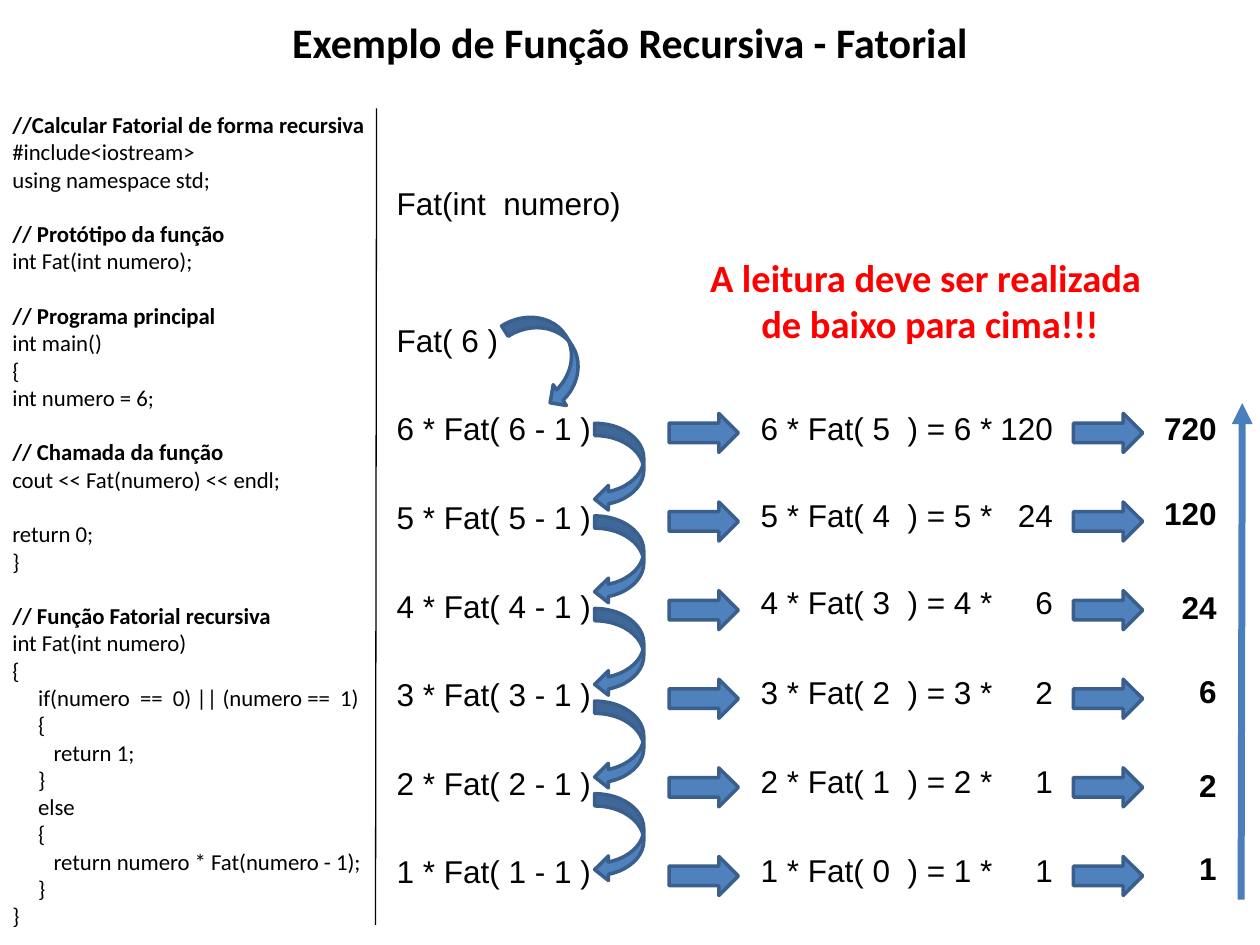
import dataclasses
import lxml.etree
import pptx
import pptx.dml.color
import pptx.enum.shapes
import pptx.enum.text
import pptx.oxml.ns
import pptx.util

Pt = pptx.util.Pt
qn = pptx.oxml.ns.qn
RGB = pptx.dml.color.RGBColor.from_string
Shape = pptx.enum.shapes.MSO_SHAPE
Align = pptx.enum.text.PP_ALIGN


@dataclasses.dataclass(frozen=True)
class Theme:
    """Colours, fonts and type sizes of the slide."""
    ink: str = "000000"
    alert: str = "FF0000"
    fill: str = "4F81BD"
    edge: str = "3A5F8C"
    climb: str = "4B7EBC"
    head: str = "Calibri"
    body: str = "Arial"
    title: float = 24
    note: float = 22
    call: float = 18
    code: float = 13


THEME = Theme()

CODE = """//Calcular Fatorial de forma recursiva
#include<iostream>
using namespace std;

// Protótipo da função
int Fat(int numero);

// Programa principal
int main()
{
int numero = 6;

// Chamada da função
cout << Fat(numero) << endl;

return 0;
}

// Função Fatorial recursiva
int Fat(int numero)
{
     if(numero  ==  0) || (numero ==  1)
     {
        return 1;
     }
     else
     {
        return numero * Fat(numero - 1);
     }
}"""

# number, value of the inner call, result, lift of product, lift of result
STEPS = [(6, 120, 720, 0, 0), (5, 24, 120, 1, 2.4), (4, 6, 24, 2, -1),
         (3, 2, 6, 1, 2.1), (2, 1, 2, 1, -1.2), (1, 1, 1, 1, 1.9)]


def write(slide, box, text, size=THEME.call, font=THEME.body, color=THEME.ink,
          bold=False, align=Align.LEFT, before=0, pitch=None, tab=None):
    """Add a text box; a blank line becomes space, leading blanks an indent."""
    frame = slide.shapes.add_textbox(*map(Pt, box)).text_frame
    frame.word_wrap = True
    para, gap = frame.paragraphs[0], before
    for line in text.split("\n"):
        if not line:
            gap = pitch
            continue
        if para.runs:
            para = frame.add_paragraph()
        para.alignment = align
        para.space_before = Pt(gap)
        if pitch:
            para.line_spacing = Pt(pitch)
        gap = before
        props = para._p.get_or_add_pPr()
        label = line.lstrip()
        props.set("marL", str(Pt(2.94 * (len(line) - len(label)))))
        if tab:
            stops = lxml.etree.SubElement(props, qn("a:tabLst"))
            lxml.etree.SubElement(stops, qn("a:tab"), pos=str(Pt(tab)), algn="r")
        run = para.add_run()
        run.text = label
        run.font.size, run.font.name = Pt(size), font
        run.font.bold = bold or label.startswith("//")
        run.font.color.rgb = RGB(color)


def arrow(slide, kind, box, turn=0, adjust=()):
    """Add a filled block arrow."""
    shape = slide.shapes.add_shape(kind, *map(Pt, box))
    shape.shadow.inherit = False
    shape.fill.solid()
    shape.fill.fore_color.rgb = RGB(THEME.fill)
    shape.line.color.rgb = RGB(THEME.edge)
    shape.line.width = Pt(2)
    shape.rotation = turn
    for index, value in enumerate(adjust):
        shape.adjustments[index] = value


def rule(slide, start, end, color, width, tip=False):
    """Add a straight line, with an arrowhead at its end if asked."""
    line = slide.shapes.add_connector(
        pptx.enum.shapes.MSO_CONNECTOR.STRAIGHT, *map(Pt, start + end))
    line.line.color.rgb = RGB(color)
    line.line.width = Pt(width)
    if tip:
        lxml.etree.SubElement(line.line._get_or_add_ln(), qn("a:tailEnd"),
                              type="triangle")
    lxml.etree.SubElement(line._element.spPr, qn("a:effectLst"))


def listing(slide, left, top, width, height):
    """Place the program and the rule to its right."""
    write(slide, (left, top, width, height), CODE, size=THEME.code,
          font=THEME.head, pitch=15.6)
    rule(slide, (left + 215.2, top + 2.2), (left + 214.6, top + 468.7),
         THEME.ink, 0.75)


def calls(slide, left, top):
    """Place the first calls and the curved arrow to the steps."""
    write(slide, (left, top, 242, 33.8), "Fat(int  numero)", before=3.6)
    write(slide, (left, top + 78.5, 170, 33.8), "Fat( 6 )", before=3.6)
    arrow(slide, Shape.CURVED_LEFT_ARROW,
          (left + 80.6, top + 72.7, 28.1, 59), turn=327.7)


def steps(slide, left, top, pitch=50.64):
    """Place one row per step, the curved links and the reading arrow."""
    for row, (num, inner, result, lift, rise) in enumerate(STEPS):
        y = top + row * pitch
        write(slide, (left, y, 170, 33.8), f"{num} * Fat( {num} - 1 )", before=3.6)
        write(slide, (left + 208, y - lift, 198.7, 33.8),
              f"{num} * Fat( {num - 1}  ) = {num} *\t{inner}", before=3.6, tab=167)
        write(slide, (left + 437.3, y - rise, 45.4, 33.8), str(result),
              bold=True, align=Align.RIGHT, before=3.6)
        for shift in (162.7, 393.8):
            arrow(slide, Shape.RIGHT_ARROW, (left + shift, y + 5.8, 39.6, 22.3))
    for link in range(len(STEPS) - 1):
        arrow(slide, Shape.CURVED_LEFT_ARROW,
              (left + 120.2, top + 11.5 + link * 52.92, 28.1, 50.4),
              adjust=(0.25, 0.5, 0.281))
    rule(slide, (left + 489.6, top + 283.7), (left + 490.3, top),
         THEME.climb, 4, tip=True)


def build():
    """Build and save the slide."""
    deck = pptx.Presentation()
    deck.slide_width, deck.slide_height = Pt(720), Pt(540)
    slide = deck.slides.add_slide(deck.slide_layouts[6])
    write(slide, (0, 5.8, 720, 36), "Exemplo de Função Recursiva - Fatorial",
          size=THEME.title, font=THEME.head, bold=True, align=Align.CENTER)
    listing(slide, 0, 59.8, 241.9, 479.5)
    calls(slide, 219.6, 101.5)
    write(slide, (376.6, 141.8, 309.6, 60.5),
          "A leitura deve ser realizada \nde baixo para cima!!!", size=THEME.note,
          font=THEME.head, color=THEME.alert, bold=True, align=Align.CENTER)
    steps(slide, 219.6, 230.4)
    deck.save("out.pptx")


build()
